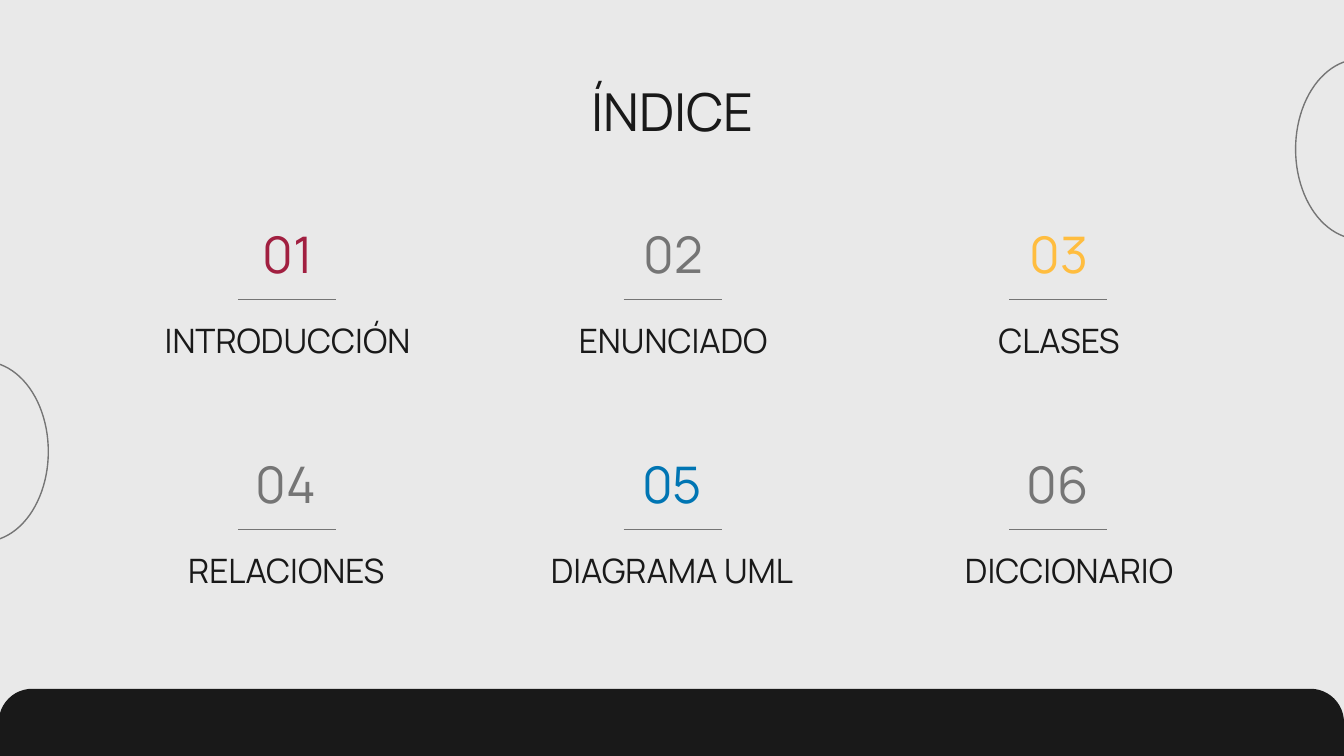
from pptx import Presentation
from pptx.dml.color import RGBColor
from pptx.enum.shapes import MSO_CONNECTOR, MSO_SHAPE
from pptx.enum.text import MSO_ANCHOR, PP_ALIGN
from pptx.oxml.ns import qn
from pptx.util import Inches, Pt
from lxml import etree

COLORS = {
    "background": "E9E9E9",
    "ink": "191919",
    "gray": "757575",
    "red": "A11F40",
    "yellow": "FFBD3F",
    "blue": "0075B3",
}


def color(name):
    return RGBColor.from_string(COLORS[name])


def add_text(text, left, top, width, height, size, color_name,
             anchor=MSO_ANCHOR.TOP, inset_top=0.1):
    box = page.shapes.add_textbox(Inches(left), Inches(top), Inches(width), Inches(height))
    frame = box.text_frame
    frame_format = {
        "word_wrap": True,
        "vertical_anchor": anchor,
        "margin_left": Inches(0.1),
        "margin_right": Inches(0.1),
        "margin_top": Inches(inset_top),
        "margin_bottom": Inches(0.1),
    }
    for name, value in frame_format.items():
        setattr(frame, name, value)
    para = frame.paragraphs[0]
    para.alignment = PP_ALIGN.CENTER
    span = para.add_run()
    span.text = text
    for name, value in {"name": "Manrope", "size": Pt(size)}.items():
        setattr(span.font, name, value)
    span.font.color.rgb = color(color_name)
    return para


# Widescreen page, 16:9
deck = Presentation()
deck.slide_width = Inches(10)
deck.slide_height = Inches(10) * 9 // 16
page = deck.slides.add_slide(deck.slide_layouts[6])
page.background.fill.solid()
page.background.fill.fore_color.rgb = color("background")

# Heading
add_text("ÍNDICE", 0.79, 0.59, 8.43, 0.52, 28, "ink", inset_top=0)

# Index entries: three columns, two rows
entries = [
    ("INTRODUCCIÓN", "red"),
    ("ENUNCIADO", "gray"),
    ("CLASES", "yellow"),
    ("RELACIONES", "gray"),
    ("DIAGRAMA UML", "blue"),
    ("DICCIONARIO", "gray"),
]
for index, (label, number_color) in enumerate(entries):
    row, column = divmod(index, 3)
    label_left = 0.79 + 2.87 * column - 0.01 * row
    number_left = 1.74 + 2.87 * column - 0.01 * row
    rule_left = 1.77 + 2.87 * column
    top = 1.64 + 1.71 * row
    add_text(f"{index + 1:02d}", number_left, top, 0.8, 0.49, 27, number_color,
             anchor=MSO_ANCHOR.MIDDLE)
    para = add_text(label, label_left, top + 0.64, 2.7, 0.52, 18, "ink")
    if label == "DICCIONARIO":
        # Hanging indent of the last entry
        properties = para._p.get_or_add_pPr()
        properties.set("marL", str(Inches(0.5)))
        properties.set("indent", str(Inches(-0.33)))

    rule_y = Inches(top + 0.59)
    rule = page.shapes.add_connector(MSO_CONNECTOR.STRAIGHT, Inches(rule_left), rule_y,
                                     Inches(rule_left + 0.73), rule_y)
    rule.line.color.rgb = color("gray")
    rule.line.width = Pt(0.75)
    etree.SubElement(rule._element.spPr, qn("a:effectLst"))

# Half ellipses at the slide edges; an adjustment of 0.6 is one degree
for left, top, start, end in [(-0.6, 2.69, 270, 90), (9.64, 0.44, 90, 270)]:
    arc = page.shapes.add_shape(MSO_SHAPE.PIE, Inches(left), Inches(top),
                                Inches(0.96), Inches(1.34))
    arc.shadow.inherit = False
    arc.adjustments[0], arc.adjustments[1] = start * 0.6, end * 0.6
    arc.fill.background()
    arc.line.color.rgb = color("gray")
    arc.line.width = Pt(0.75)

# Footer band, resting on the bottom edge
band_height = Inches(0.5)
band = page.shapes.add_shape(MSO_SHAPE.ROUND_2_SAME_RECTANGLE, Inches(-0.01),
                             deck.slide_height - band_height, Inches(10.01), band_height)
band.shadow.inherit = False
band.adjustments[0], band.adjustments[1] = 0.5, 0
band.fill.solid()
band.fill.fore_color.rgb = color("ink")
band.line.fill.background()

deck.save("out.pptx")
